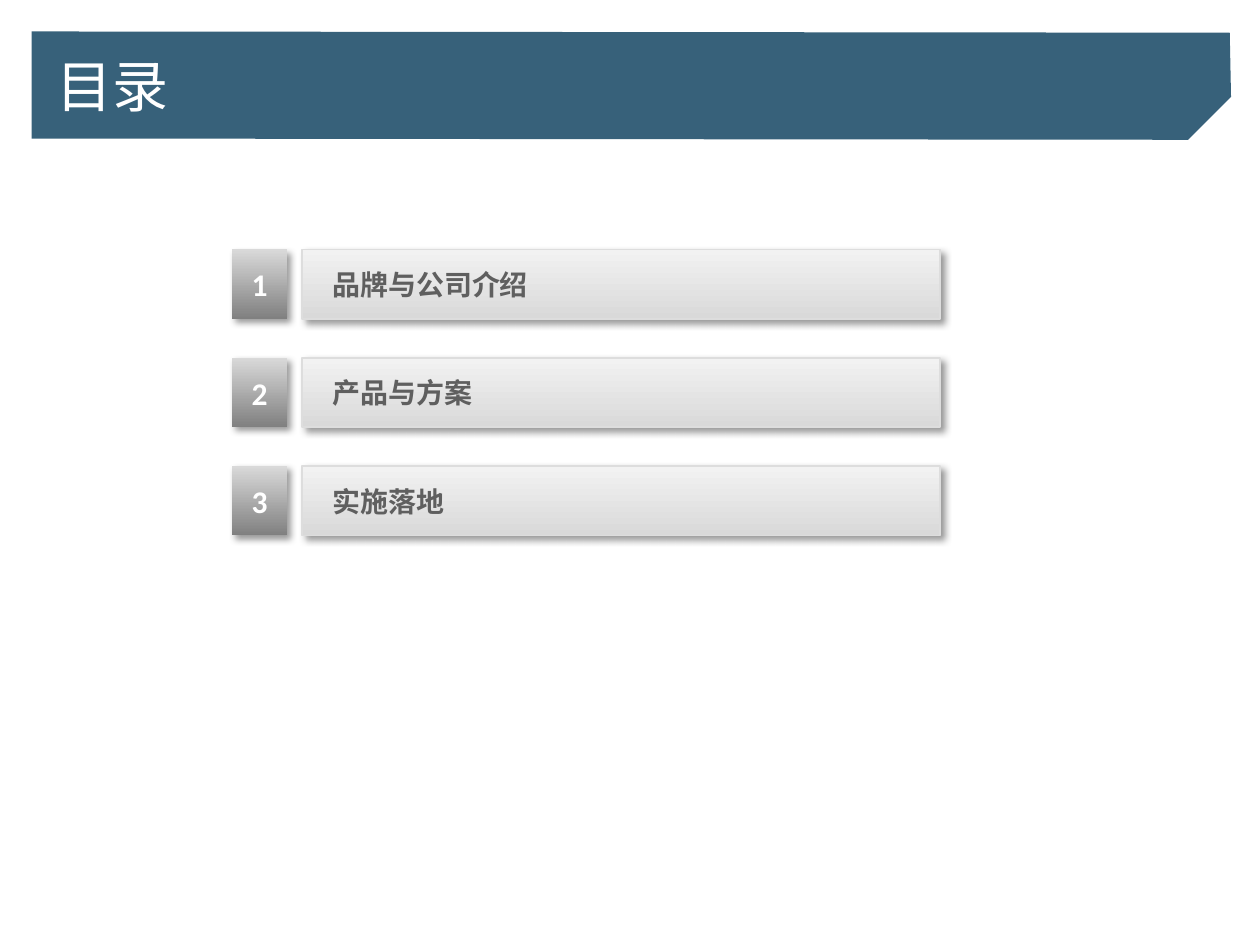
from dataclasses import dataclass

from lxml.etree import SubElement
from pptx import Presentation
from pptx.dml.color import RGBColor
from pptx.enum.shapes import MSO_SHAPE
from pptx.enum.text import MSO_ANCHOR, PP_ALIGN
from pptx.oxml.ns import qn
from pptx.util import Inches, Pt


@dataclass(frozen=True)
class Theme:
    banner: str = "37617A"
    white: str = "FFFFFF"
    ink: str = "5F5F5F"
    edge: str = "DDDDDD"
    bar: tuple = ("F2F2F2", "D9D9D9")
    badge: tuple = ("D9D9D9", "808080")
    latin: str = "Calibri"
    asian: str = "Noto Sans CJK SC"
    title_size: int = 32
    badge_size: int = 18
    bar_size: int = 16


THEME = Theme()
TOPICS = ("品牌与公司介绍", "产品与方案", "实施落地")
TOP, STEP, HEIGHT = 1.98, 0.86, 0.55


def rgb(code):
    return RGBColor.from_string(code)


def put_text(shape, text, *, size, color, font=THEME.latin, bold=False,
             align=PP_ALIGN.LEFT, inset=(0, 0, 0, 0)):
    frame = shape.text_frame
    frame.word_wrap = True
    frame.vertical_anchor = MSO_ANCHOR.MIDDLE
    (frame.margin_left, frame.margin_top,
     frame.margin_right, frame.margin_bottom) = map(Inches, inset)
    para = frame.paragraphs[0]
    para.alignment = align
    run = para.add_run()
    run.text = text
    run.font.name = font
    run.font.size = Pt(size)
    run.font.bold = bold
    run.font.color.rgb = rgb(color)
    SubElement(run.font._element, qn("a:ea"), typeface=THEME.asian)


def add_shadow(shape):
    """Cast a soft black shadow down and to the right."""
    shape.shadow.inherit = False
    effects = shape._element.spPr.find(qn("a:effectLst"))
    outer = SubElement(effects, qn("a:outerShdw"), blurRad=str(Pt(4)),
                       dist=str(Pt(3)), dir=str(45 * 60000),
                       algn="tl", rotWithShape="0")
    black = SubElement(outer, qn("a:srgbClr"), val="000000")
    SubElement(black, qn("a:alpha"), val="40000")


def add_box(group, left, top, width, shades, edge=None):
    box = group.shapes.add_shape(MSO_SHAPE.RECTANGLE, Inches(left),
                                 Inches(top), Inches(width), Inches(HEIGHT))
    box.fill.gradient()
    box.fill.gradient_angle = 270
    for stop, shade in zip(box.fill.gradient_stops, shades):
        stop.color.rgb = rgb(shade)
    if edge:
        box.line.color.rgb = rgb(edge)
        box.line.width = Pt(1)
    else:
        box.line.fill.background()
    add_shadow(box)
    return box


def add_topic(slide, number, topic):
    group = slide.shapes.add_group_shape()
    top = TOP + (number - 1) * STEP
    bar = add_box(group, 2.4, top, 5.06, THEME.bar, THEME.edge)
    put_text(bar, topic, size=THEME.bar_size, color=THEME.ink, bold=True,
             inset=(0.24, 0.04, 0.04, 0.04))
    badge = add_box(group, 1.84, top, 0.44, THEME.badge)
    put_text(badge, str(number), size=THEME.badge_size, color=THEME.white,
             bold=True, align=PP_ALIGN.CENTER)


def add_banner(slide):
    points = [(Inches(x), Inches(y)) for x, y in (
        (0.25, 0.25), (9.76, 0.26), (9.77, 0.77), (9.43, 1.11), (0.25, 1.1))]
    outline = slide.shapes.build_freeform(*points[0])
    outline.add_line_segments(points[1:], close=True)
    banner = outline.convert_to_shape()
    banner.fill.solid()
    banner.fill.fore_color.rgb = rgb(THEME.banner)
    banner.line.fill.background()
    banner.shadow.inherit = False
    return banner


def add_title(slide, text):
    """Set the title on top of its banner."""
    title = slide.shapes.title
    add_banner(slide)._element.addnext(title._element)
    title.left, title.top = Inches(0.25), Inches(0.25)
    title.width, title.height = Inches(9.51), Inches(0.85)
    put_text(title, text, size=THEME.title_size, color=THEME.white,
             font=THEME.asian, inset=(0.2, 0.05, 0.1, 0.05))


def main():
    deck = Presentation()
    deck.slide_width, deck.slide_height = Inches(10), Inches(7.5)
    slide = deck.slides.add_slide(deck.slide_layouts.get_by_name("Title Only"))
    add_title(slide, "目录")
    for number, topic in enumerate(TOPICS, 1):
        add_topic(slide, number, topic)
    deck.save("out.pptx")


if __name__ == "__main__":
    main()
